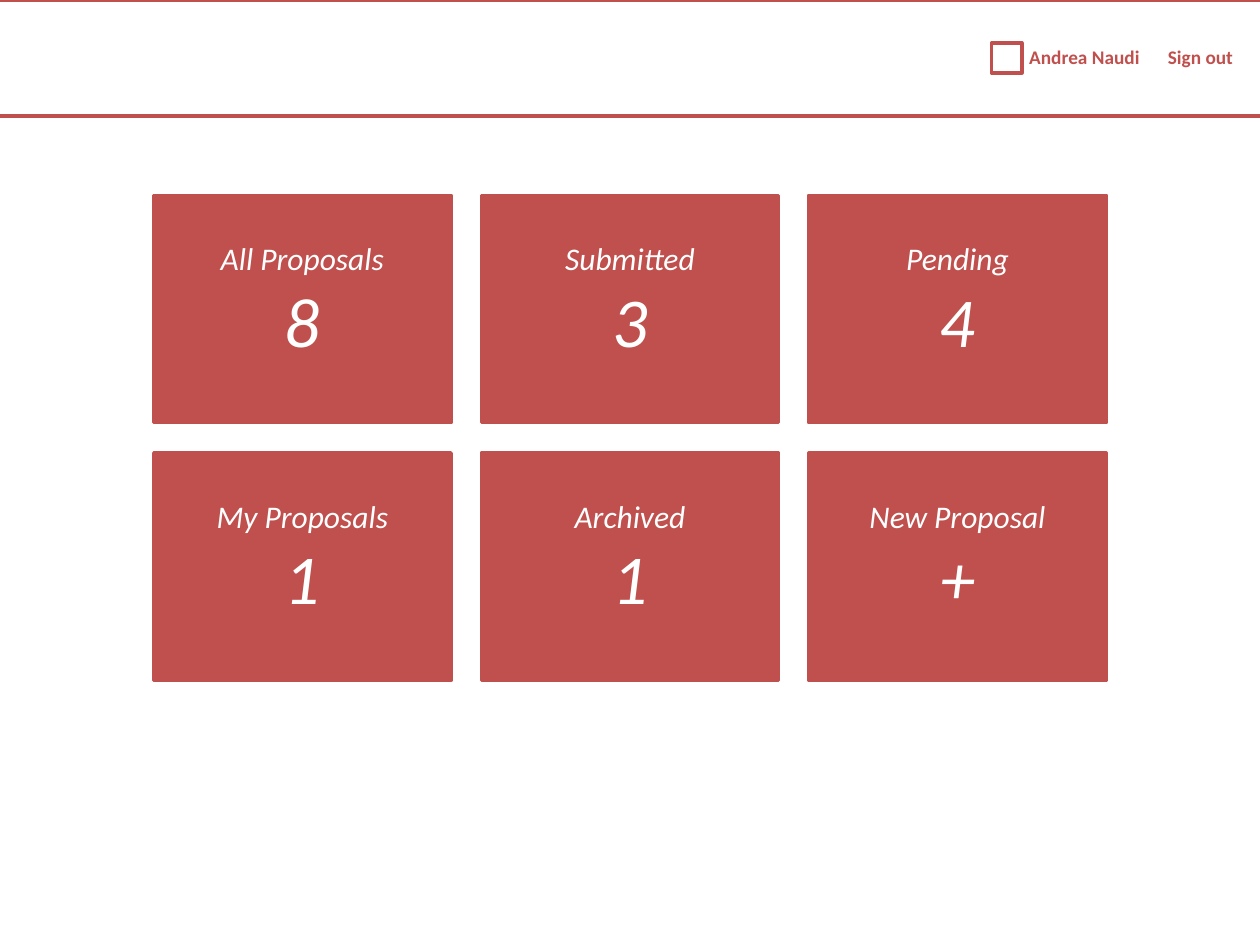
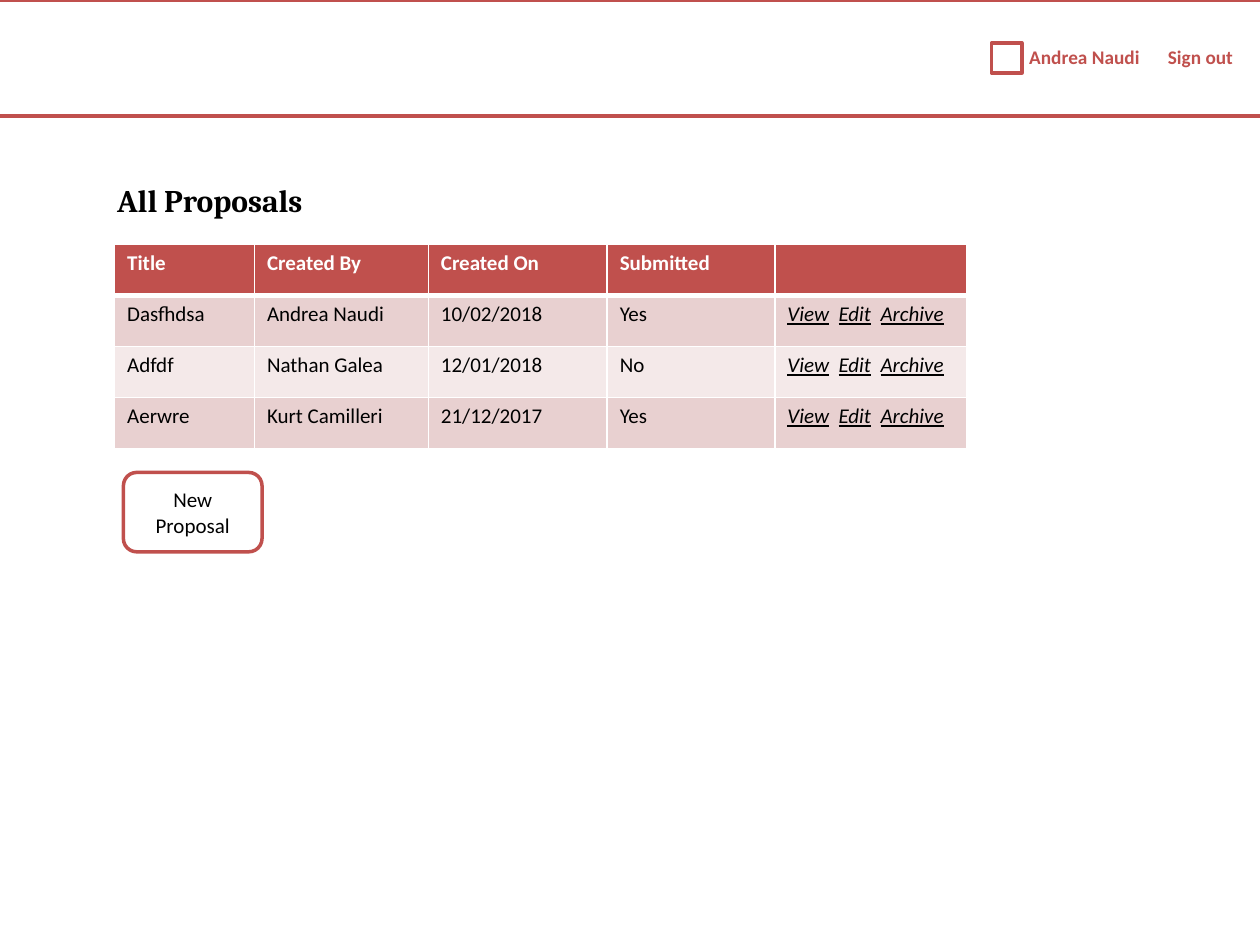
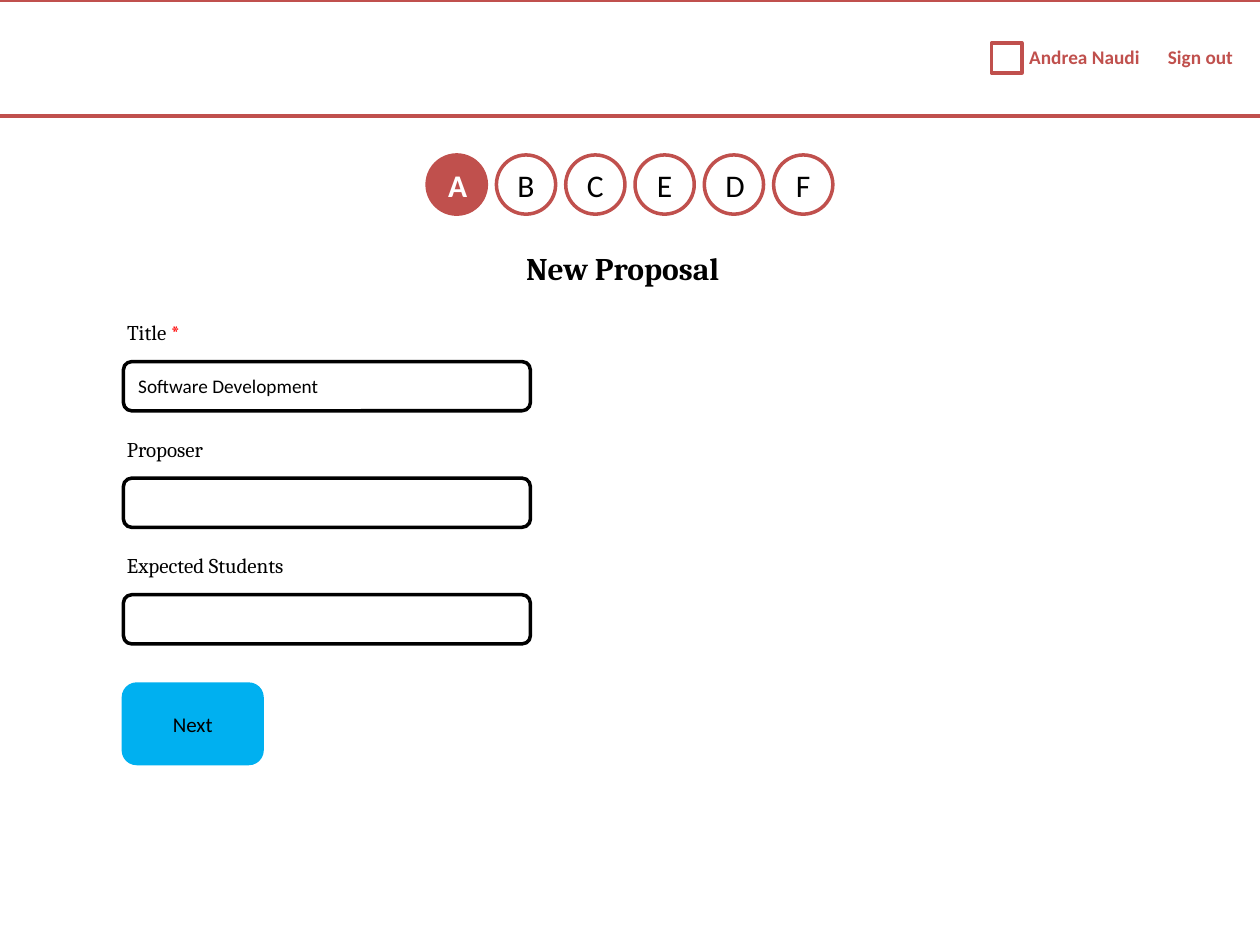
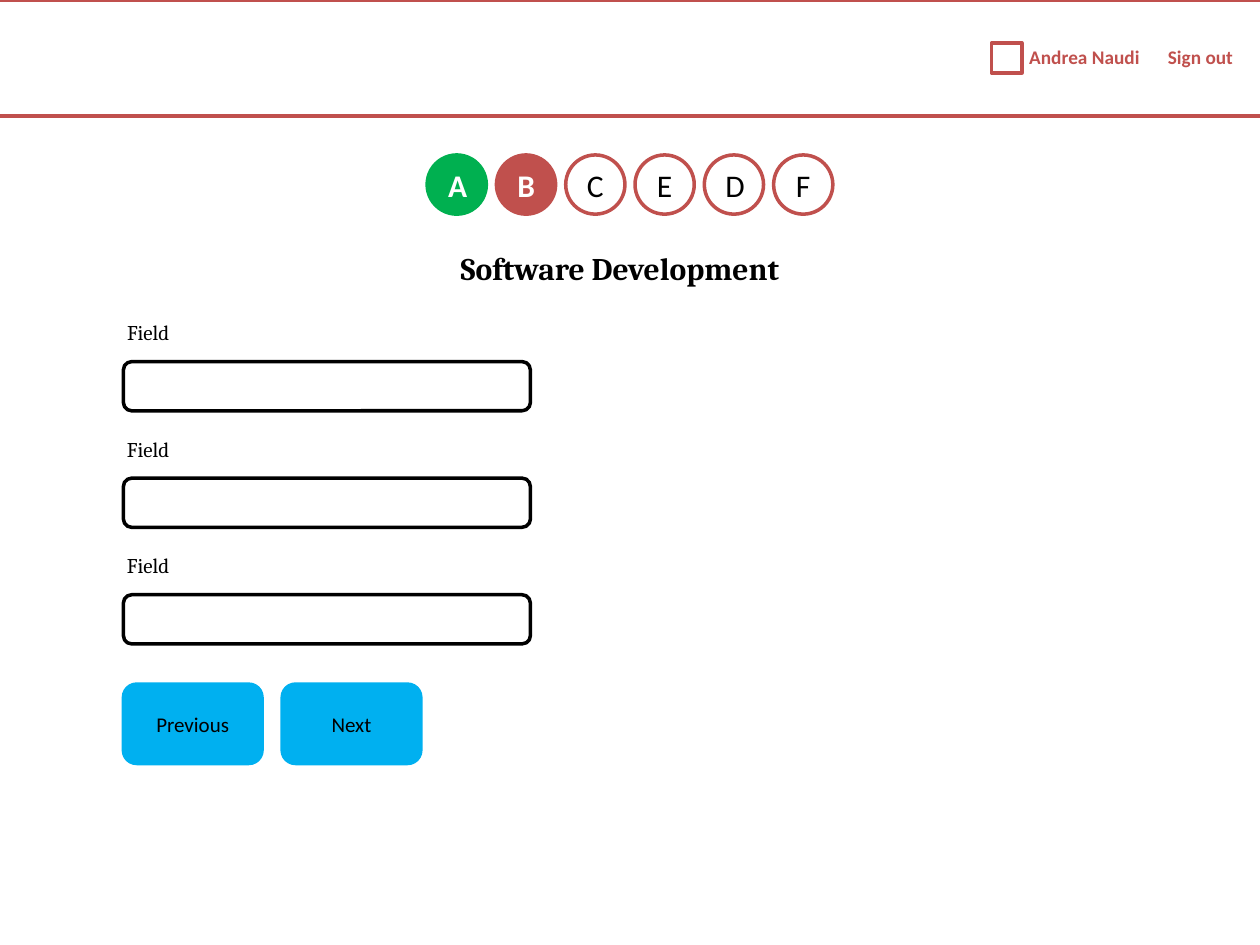
from dataclasses import dataclass

from lxml.etree import SubElement
from pptx import Presentation
from pptx.dml.color import RGBColor
from pptx.enum.shapes import MSO_SHAPE as Preset
from pptx.enum.text import MSO_ANCHOR as Anchor, PP_ALIGN as Align
from pptx.oxml.ns import qn
from pptx.util import Inches, Pt

BRICK = RGBColor(0xC0, 0x50, 0x4D)
ROSE = RGBColor(0xE8, 0xD0, 0xD0)
BLUSH = RGBColor(0xF4, 0xE9, 0xE9)
GREEN = RGBColor(0x00, 0xB0, 0x50)
SKY = RGBColor(0x00, 0xB0, 0xF0)
RED = RGBColor(0xFF, 0x00, 0x00)
WHITE = RGBColor(0xFF, 0xFF, 0xFF)
BLACK = RGBColor(0x00, 0x00, 0x00)

BODY_FONT = "Calibri"
HEADING_FONT = "Cambria"

SLIDE_WIDTH, SLIDE_HEIGHT = Inches(10), Inches(7.5)
GRID_COLUMNS = 100
CELL = SLIDE_WIDTH // GRID_COLUMNS

TITLE_ONLY, BLANK = 5, 6


@dataclass
class Box:
    left: float
    top: float
    width: float
    height: float

    def inner(self, left, top, width, height):
        return Box(self.left + left, self.top + top, width, height)

    def split(self, columns, rows, gap):
        width = (self.width - gap * (columns - 1)) / columns
        height = (self.height - gap * (rows - 1)) / rows
        return [self.inner(c * (width + gap), r * (height + gap), width, height)
                for r in range(rows) for c in range(columns)]

    def place(self):
        return [round(length * CELL)
                for length in (self.left, self.top, self.width, self.height)]


HEADER = Box(-1.2, 0, 102.4, 9.2)
TILES = Box(12.2, 15.5, 75.6, 38.5)
LISTING = Box(8.3, 13.9, 68.5, 29.9)
STEPS = Box(33.9, 12.3, 32.2, 4.7)
FORM = Box(9.1, 24.9, 33, 35.7)

BUTTON_WIDTH, BUTTON_HEIGHT = 11, 6.3


def add_run(paragraph, text, size, color, font=BODY_FONT, bold=False,
            italic=False, underline=False):
    run = paragraph.add_run()
    run.text = text
    run.font.name = font
    run.font.size = Pt(size)
    run.font.color.rgb = color
    run.font.bold = bold
    run.font.italic = italic
    run.font.underline = underline
    return run


def add_panel(shapes, preset, box, fill, line, align=Align.CENTER,
              anchor=Anchor.MIDDLE):
    panel = shapes.add_shape(preset, *box.place())
    panel.shadow.inherit = False
    panel.fill.solid()
    panel.fill.fore_color.rgb = fill
    panel.line.color.rgb = line
    panel.line.width = Pt(2)
    panel.text_frame.vertical_anchor = anchor
    panel.text_frame.paragraphs[0].alignment = align
    return panel


def add_label(shapes, box):
    frame = shapes.add_textbox(*box.place()).text_frame
    frame.word_wrap = True
    return frame.paragraphs[0]


def add_button(shapes, box, caption, fill, line):
    button = add_panel(shapes, Preset.ROUNDED_RECTANGLE, box, fill, line)
    add_run(button.text_frame.paragraphs[0], caption, 12, BLACK)


def set_title(slide, box, text):
    title = slide.shapes.title
    title.left, title.top, title.width, title.height = box.place()
    frame = title.text_frame
    frame.word_wrap = True
    frame.vertical_anchor = Anchor.TOP
    frame.paragraphs[0].alignment = Align.LEFT
    add_run(frame.paragraphs[0], text, 18, BLACK, HEADING_FONT, bold=True)


def draw_header(slide, box):
    header = slide.shapes.add_group_shape().shapes
    add_panel(header, Preset.RECTANGLE, box, WHITE, BRICK)
    for caption, left, width in (("Andrea Naudi", 81.9, 11.8),
                                 ("Sign out", 92.9, 7.9)):
        label = add_label(header, box.inner(left, 3.1, width, 2.9))
        add_run(label, caption, 11, BRICK, bold=True)
    add_panel(header, Preset.RECTANGLE, box.inner(79.9, 3.4, 2.4, 2.4),
              WHITE, BRICK)


def draw_tiles(slide, box, tiles):
    for (caption, figure), tile_box in zip(tiles, box.split(3, 2, 2.4)):
        frame = add_panel(slide.shapes, Preset.RECTANGLE, tile_box, BRICK,
                          BRICK, anchor=Anchor.TOP).text_frame
        frame.margin_top = Inches(0.35)
        add_run(frame.paragraphs[0], caption, 18, WHITE, italic=True)
        figure_line = frame.add_paragraph()
        figure_line.alignment = Align.CENTER
        add_run(figure_line, figure, 40, WHITE, italic=True)


def set_borders(cell, bottom):
    properties = cell._tc.get_or_add_tcPr()
    widths = {"a:lnL": 1, "a:lnR": 1, "a:lnT": 1, "a:lnB": bottom}
    for position, (side, width) in enumerate(widths.items()):
        border = SubElement(properties, qn(side), w=str(Pt(width)))
        fill = SubElement(border, qn("a:solidFill"))
        SubElement(fill, qn("a:srgbClr"), val=str(WHITE))
        properties.insert(position, border)


def write_actions(paragraph, actions):
    for position, action in enumerate(actions):
        if position:
            gap = add_run(paragraph, " ", 12, BLACK, italic=True)
            gap._r.get_or_add_rPr().set("spc", "270")
        add_run(paragraph, action, 12, BLACK, italic=True, underline=True)


def draw_proposals(slide, box, headings, proposals, actions):
    column_widths = (11.1, 13.8, 14.2, 13.3, 15.2)
    row_height = 4.05
    rows = [headings] + proposals
    table_box = box.inner(0.8, 5.5, sum(column_widths), row_height * len(rows))
    table = slide.shapes.add_table(len(rows), len(column_widths),
                                   *table_box.place()).table
    for column, width in zip(table.columns, column_widths):
        column.width = round(width * CELL)
    for r, values in enumerate(rows):
        is_heading = r == 0
        for c in range(len(column_widths)):
            cell = table.cell(r, c)
            cell.fill.solid()
            cell.fill.fore_color.rgb = (BRICK if is_heading
                                        else ROSE if r % 2 else BLUSH)
            set_borders(cell, bottom=3 if is_heading else 1)
            paragraph = cell.text_frame.paragraphs[0]
            if c < len(values):
                add_run(paragraph, values[c], 12,
                        WHITE if is_heading else BLACK, bold=is_heading)
            elif not is_heading:
                write_actions(paragraph, actions)


def draw_steps(slide, box, letters, current):
    steps = slide.shapes.add_group_shape().shapes
    circles = box.split(len(letters), 1, 0.8)
    for position, (letter, circle) in enumerate(zip(letters, circles)):
        reached = position <= current
        line = GREEN if position < current else BRICK
        step = add_panel(steps, Preset.OVAL, circle,
                         line if reached else WHITE, line)
        add_run(step.text_frame.paragraphs[0], letter, 18,
                WHITE if reached else BLACK, bold=reached)


def draw_field(slide, box, caption, label_width, value="", required=False):
    field = slide.shapes.add_group_shape().shapes
    entry = add_panel(field, Preset.ROUNDED_RECTANGLE,
                      box.inner(0.7, 3.8, 32.3, 3.9), WHITE, BLACK, Align.LEFT)
    if value:
        add_run(entry.text_frame.paragraphs[0], value, 11, BLACK)
    label = add_label(field, box.inner(0, 0, label_width, 3))
    add_run(label, caption, 12, BLACK, HEADING_FONT)
    if required:
        add_run(label, "*", 12, RED, HEADING_FONT)


def draw_form(slide, box, fields, buttons):
    for position, field in enumerate(fields):
        draw_field(slide, box.inner(0, position * 9.25, box.width, 7.7), *field)
    for position, caption in enumerate(buttons):
        button_box = box.inner(0.7 + position * 12.6,
                               box.height - BUTTON_HEIGHT,
                               BUTTON_WIDTH, BUTTON_HEIGHT)
        add_button(slide.shapes, button_box, caption, SKY, SKY)


def add_page(deck, layout):
    slide = deck.slides.add_slide(deck.slide_layouts[layout])
    draw_header(slide, HEADER)
    return slide


def add_dashboard(deck, tiles):
    draw_tiles(add_page(deck, BLANK), TILES, tiles)


def add_listing(deck, title, headings, proposals, actions, button):
    slide = add_page(deck, TITLE_ONLY)
    set_title(slide, LISTING.inner(0, 0, 18.5, 4), title)
    draw_proposals(slide, LISTING, headings, proposals, actions)
    button_box = LISTING.inner(1.5, LISTING.height - BUTTON_HEIGHT,
                               BUTTON_WIDTH, BUTTON_HEIGHT)
    add_button(slide.shapes, button_box, button, WHITE, BRICK)


def add_wizard(deck, title, title_width, current, fields, buttons):
    slide = add_page(deck, TITLE_ONLY)
    draw_steps(slide, STEPS, "ABCEDF", current)
    title_left = (GRID_COLUMNS - title_width) / 2
    set_title(slide, Box(title_left, 19.3, title_width, 4), title)
    draw_form(slide, FORM, fields, buttons)


def main():
    deck = Presentation()
    deck.slide_width, deck.slide_height = SLIDE_WIDTH, SLIDE_HEIGHT

    add_dashboard(deck, [
        ("All Proposals", "8"), ("Submitted", "3"), ("Pending", "4"),
        ("My Proposals", "1"), ("Archived", "1"), ("New Proposal", "+"),
    ])
    add_listing(
        deck, "All Proposals",
        ("Title", "Created By", "Created On", "Submitted"),
        [("Dasfhdsa", "Andrea Naudi", "10/02/2018", "Yes"),
         ("Adfdf", "Nathan Galea", "12/01/2018", "No"),
         ("Aerwre", "Kurt Camilleri", "21/12/2017", "Yes")],
        ("View", "Edit", "Archive"), "New Proposal")
    add_wizard(
        deck, "New Proposal", 18.5, 0,
        [("Title ", 7.1, "Software Development", True),
         ("Proposer", 8.7), ("Expected Students", 17.3)],
        ["Next"])
    add_wizard(
        deck, "Software Development", 28.9, 1,
        [("Field", 7.1), ("Field", 8.7), ("Field", 6.3)],
        ["Previous", "Next"])

    deck.save("out.pptx")


if __name__ == "__main__":
    main()
